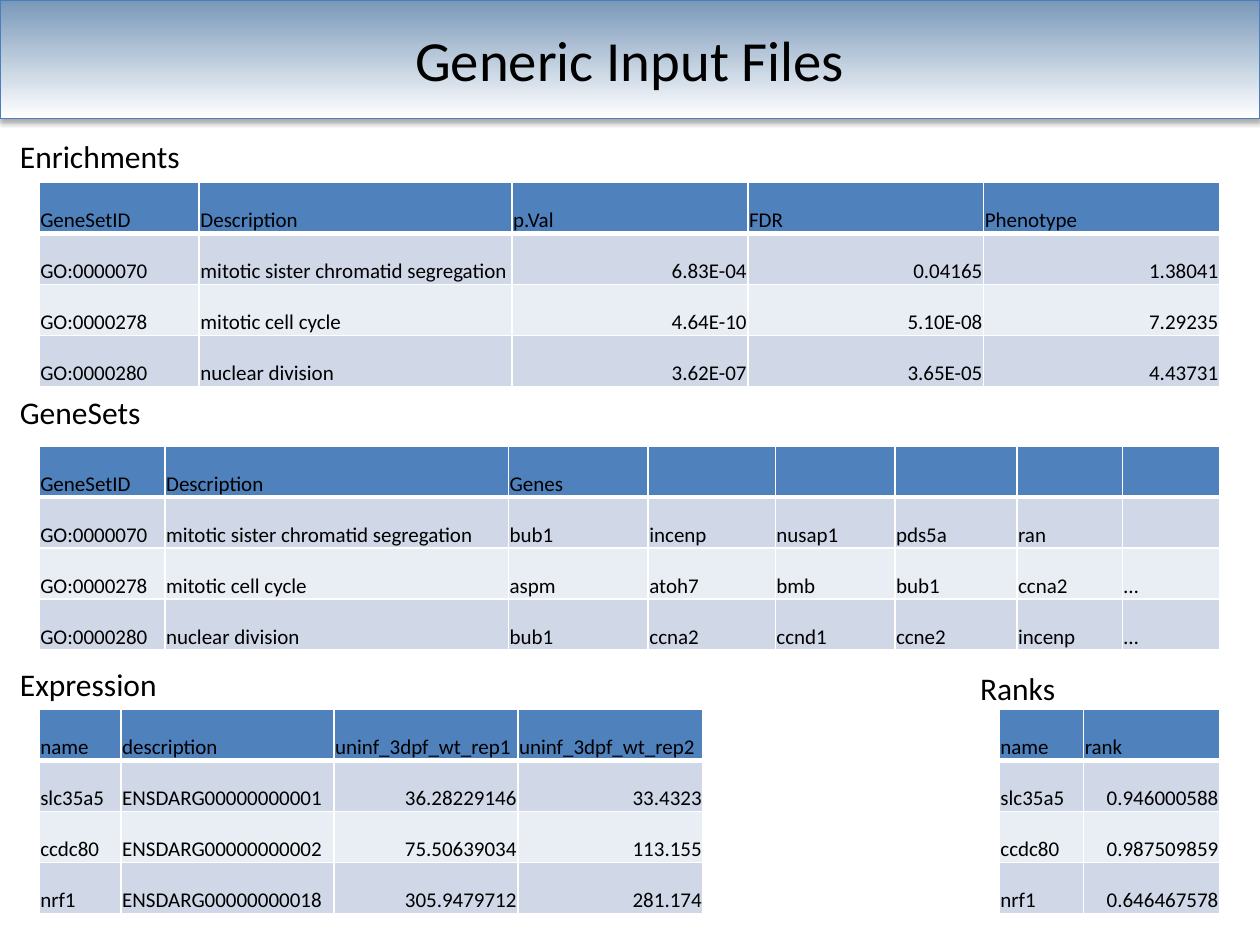
from collections import namedtuple

from lxml import etree
from pptx import Presentation
from pptx.dml.color import RGBColor
from pptx.enum.shapes import MSO_SHAPE
from pptx.enum.text import MSO_ANCHOR, MSO_AUTO_SIZE, PP_ALIGN
from pptx.oxml.ns import qn
from pptx.util import Inches, Pt

RECTANGLE = MSO_SHAPE.RECTANGLE
LEFT, CENTER, RIGHT = PP_ALIGN.LEFT, PP_ALIGN.CENTER, PP_ALIGN.RIGHT
MIDDLE, BOTTOM = MSO_ANCHOR.MIDDLE, MSO_ANCHOR.BOTTOM
FIT_SHAPE = MSO_AUTO_SIZE.SHAPE_TO_FIT_TEXT

SLIDE_WIDTH, SLIDE_HEIGHT = Inches(10), Inches(7.5)
FONT = "Calibri"
COLORS = {
    "text": "000000",
    "banner_top": "7998B9",
    "banner_bottom": "FFFFFF",
    "banner_line": "4B7EBC",
    "header": "4F81BD",
    "odd_row": "D0D8E8",
    "even_row": "E9EDF4",
    "border": "FFFFFF",
}
CELL_FORMAT = {
    "margin_left": Inches(0.01),
    "margin_right": Inches(0.01),
    "margin_top": Inches(0.01),
    "margin_bottom": 0,
    "vertical_anchor": BOTTOM,
}
HEADING_FORMAT = {"word_wrap": False, "auto_size": FIT_SHAPE}
TITLE_FORMAT = {"word_wrap": True, "vertical_anchor": MIDDLE}

Box = namedtuple("Box", "left top width height")
Section = namedtuple("Section", "heading heading_box table_box columns numbers rows")

TABLE_LEFT, TABLE_WIDTH, TABLE_HEIGHT = 3.1, 93.7, 21.6
TABLE_TOPS = [19.33 + 27.87 * row for row in range(3)]
HEADING_LEFT, HEADING_HEIGHT = 0.6, 5.33

SECTIONS = [
    Section(
        "Enrichments",
        Box(HEADING_LEFT, 13.87, 15.4, HEADING_HEIGHT),
        Box(TABLE_LEFT, TABLE_TOPS[0], TABLE_WIDTH, TABLE_HEIGHT),
        [127, 248, 187, 187, 187],
        {2, 3, 4},
        [
            ["GeneSetID", "Description", "p.Val", "FDR", "Phenotype"],
            ["GO:0000070", "mitotic sister chromatid segregation", "6.83E-04", "0.04165", "1.38041"],
            ["GO:0000278", "mitotic cell cycle", "4.64E-10", "5.10E-08", "7.29235"],
            ["GO:0000280", "nuclear division", "3.62E-07", "3.65E-05", "4.43731"],
        ],
    ),
    Section(
        "GeneSets",
        Box(HEADING_LEFT, 40.93, 11.7, HEADING_HEIGHT),
        Box(TABLE_LEFT, TABLE_TOPS[1], TABLE_WIDTH, TABLE_HEIGHT),
        [100, 273, 111, 101, 95, 97, 84, 77],
        set(),
        [
            ["GeneSetID", "Description", "Genes", "", "", "", "", ""],
            ["GO:0000070", "mitotic sister chromatid segregation", "bub1", "incenp", "nusap1", "pds5a", "ran", ""],
            ["GO:0000278", "mitotic cell cycle", "aspm", "atoh7", "bmb", "bub1", "ccna2", "…"],
            ["GO:0000280", "nuclear division", "bub1", "ccna2", "ccnd1", "ccne2", "incenp", "…"],
        ],
    ),
    Section(
        "Expression",
        Box(HEADING_LEFT, 69.73, 13, HEADING_HEIGHT),
        Box(TABLE_LEFT, TABLE_TOPS[2], 52.7, TABLE_HEIGHT),
        [65, 169, 146, 147],
        {2, 3},
        [
            ["name", "description", "uninf_3dpf_wt_rep1", "uninf_3dpf_wt_rep2"],
            ["slc35a5", "ENSDARG00000000001", "36.28229146", "33.4323"],
            ["ccdc80", "ENSDARG00000000002", "75.50639034", "113.155"],
            ["nrf1", "ENSDARG00000000018", "305.9479712", "281.174"],
        ],
    ),
    Section(
        "Ranks",
        Box(76.8, 70.13, 8, HEADING_HEIGHT),
        Box(79.3, TABLE_TOPS[2], 17.5, TABLE_HEIGHT),
        [67, 108],
        {1},
        [
            ["name", "rank"],
            ["slc35a5", "0.946000588"],
            ["ccdc80", "0.987509859"],
            ["nrf1", "0.646467578"],
        ],
    ),
]


def color(name):
    """Return the named colour."""
    return RGBColor.from_string(COLORS[name])


def place(box):
    """Turn percentages of the slide into lengths."""
    sizes = (SLIDE_WIDTH, SLIDE_HEIGHT) * 2
    return [round(share * size / 100) for share, size in zip(box, sizes)]


def apply_format(target, values):
    """Set every attribute in a dict of format values."""
    for name, value in values.items():
        setattr(target, name, value)


def write(text_frame, text, size, alignment=LEFT):
    """Write one formatted line in a text frame."""
    paragraph = text_frame.paragraphs[0]
    paragraph.alignment = alignment
    run = paragraph.add_run()
    run.text = text
    apply_format(run.font, {"name": FONT, "size": Pt(size)})
    run.font.color.rgb = color("text")


def add_text(slide, box, text, size, frame_format, alignment=LEFT):
    """Add a text box with one line."""
    text_frame = slide.shapes.add_textbox(*place(box)).text_frame
    apply_format(text_frame, frame_format)
    write(text_frame, text, size, alignment)


def add_shadow(shape):
    """Give a shape a soft shadow below it."""
    shape.shadow.inherit = False
    effects = shape._element.spPr.find(qn("a:effectLst"))
    shadow = etree.SubElement(
        effects, qn("a:outerShdw"), blurRad=str(Pt(3.1)), dist=str(Pt(1.8)),
        dir="5400000", rotWithShape="0")
    shade = etree.SubElement(shadow, qn("a:srgbClr"), val=COLORS["text"])
    etree.SubElement(shade, qn("a:alpha"), val="35000")


def add_banner(slide, box, title):
    """Add the gradient banner and its title."""
    banner = slide.shapes.add_shape(RECTANGLE, *place(box))
    banner.fill.gradient()
    banner.fill.gradient_angle = 270
    stops = zip(banner.fill.gradient_stops, ("banner_top", "banner_bottom"))
    for position, (stop, name) in enumerate(stops):
        stop.position = position
        stop.color.rgb = color(name)
    banner.line.color.rgb = color("banner_line")
    banner.line.width = Pt(0.75)
    add_shadow(banner)
    title_box = Box(box.left + 5, box.top + 2, box.width - 10, box.height - 4.13)
    add_text(slide, title_box, title, 32.4, TITLE_FORMAT, CENTER)


def add_borders(cell, widths):
    """Draw the borders of a cell, given a width for each edge."""
    properties = cell._tc.get_or_add_tcPr()
    for edge, width in widths.items():
        line = etree.SubElement(properties, qn(f"a:ln{edge}"), w=str(Pt(width)))
        fill = etree.SubElement(line, qn("a:solidFill"))
        etree.SubElement(fill, qn("a:srgbClr"), val=COLORS["border"])


def add_section(slide, section):
    """Add a heading and its table."""
    rows, columns = section.rows, section.columns
    left, top, width, height = place(section.table_box)
    table = slide.shapes.add_table(
        len(rows), len(columns), left, top, width, height).table
    for column, weight in zip(table.columns, columns):
        column.width = round(width * weight / sum(columns))
    for row_index, values in enumerate(rows):
        banding = "odd_row" if row_index % 2 else "even_row"
        fill_name = banding if row_index else "header"
        edges = {"L": 1, "R": 1, "T": 3 if row_index == 1 else 1,
                 "B": 1 if row_index else 3}
        for column_index, value in enumerate(values):
            cell = table.cell(row_index, column_index)
            apply_format(cell, CELL_FORMAT)
            add_borders(cell, edges)
            cell.fill.solid()
            cell.fill.fore_color.rgb = color(fill_name)
            if value:
                is_number = row_index and column_index in section.numbers
                write(cell.text_frame, value, 12, RIGHT if is_number else LEFT)
    add_text(slide, section.heading_box, section.heading, 18, HEADING_FORMAT)


def main():
    """Build and save the presentation."""
    presentation = Presentation()
    apply_format(presentation, {"slide_width": SLIDE_WIDTH, "slide_height": SLIDE_HEIGHT})
    slide = presentation.slides.add_slide(presentation.slide_layouts[6])
    add_banner(slide, Box(0, 0, 100, 12.53), "Generic Input Files")
    for section in SECTIONS:
        add_section(slide, section)
    presentation.save("out.pptx")


if __name__ == "__main__":
    main()
